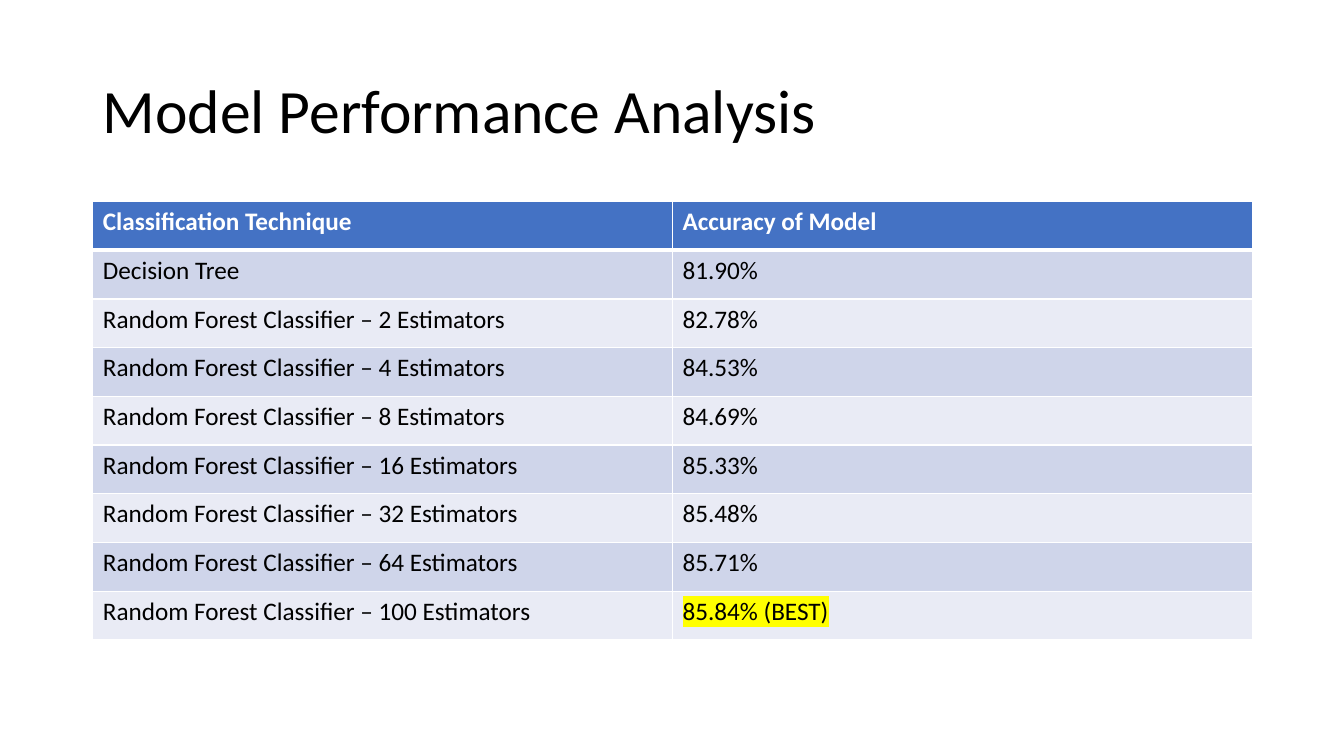
"""Build a slide with a table comparing the accuracy of classification models."""
from dataclasses import dataclass

from lxml.etree import SubElement
from pptx import Presentation
from pptx.dml.color import RGBColor as Rgb
from pptx.enum.text import MSO_ANCHOR as Anchor
from pptx.oxml.ns import qn
from pptx.util import Inches, Pt


@dataclass(frozen=True)
class Theme:
    font: str = "Calibri"
    ink: str = "000000"
    white: str = "FFFFFF"
    header: str = "4472C4"
    bands: tuple = ("E9EBF5", "CFD5EA")
    highlight: str = "FFFF00"
    title_size: int = 44
    table_size: int = 18
    rule: int = 1
    header_rule: int = 3


theme = Theme()


def add_run(paragraph, text, size, color, bold=False):
    run = paragraph.add_run()
    run.text = text
    run.font.name = theme.font
    run.font.size = Pt(size)
    run.font.bold = bold
    run.font.color.rgb = Rgb.from_string(color)
    return run


def add_border(cell, side, width):
    line = SubElement(cell._tc.get_or_add_tcPr(), qn(f"a:ln{side}"), w=str(Pt(width)))
    SubElement(SubElement(line, qn("a:solidFill")), qn("a:srgbClr"), val=theme.white)


estimators = (2, 4, 8, 16, 32, 64, 100)
techniques = ["Decision Tree"] + [
    f"Random Forest Classifier – {count} Estimators" for count in estimators
]
accuracies = ("81.90%", "82.78%", "84.53%", "84.69%", "85.33%", "85.48%", "85.71%", "85.84% (BEST)")
results = [("Classification Technique", "Accuracy of Model"), *zip(techniques, accuracies)]

deck = Presentation()
deck.slide_width, deck.slide_height = Inches(13.33), Inches(7.5)
slide = deck.slides.add_slide(deck.slide_layouts[6])

left, width = Inches(0.92), Inches(11.5)
heading = slide.shapes.add_textbox(left, Inches(0.4), width, Inches(1.45)).text_frame
heading.word_wrap = True
heading.vertical_anchor = Anchor.MIDDLE
heading.paragraphs[0].line_spacing = 0.9
add_run(heading.paragraphs[0], "Model Performance Analysis", theme.title_size, theme.ink)

performance = slide.shapes.add_table(
    len(results), 2, left, Inches(2), width, Inches(4.35)
).table
for row, result in enumerate(results):
    is_header = row == 0
    fill = theme.header if is_header else theme.bands[row % 2]
    color = theme.white if is_header else theme.ink
    for column, text in enumerate(result):
        cell = performance.cell(row, column)
        for side in "LRTB":
            below_header = (row, side) in ((0, "B"), (1, "T"))
            add_border(cell, side, theme.header_rule if below_header else theme.rule)
        cell.fill.solid()
        cell.fill.fore_color.rgb = Rgb.from_string(fill)
        run = add_run(cell.text_frame.paragraphs[0], text, theme.table_size, color, is_header)
        if "BEST" in text:
            properties = run.font._element
            marker = SubElement(properties, qn("a:highlight"))
            SubElement(marker, qn("a:srgbClr"), val=theme.highlight)
            properties.find(qn("a:solidFill")).addnext(marker)

deck.save("out.pptx")
